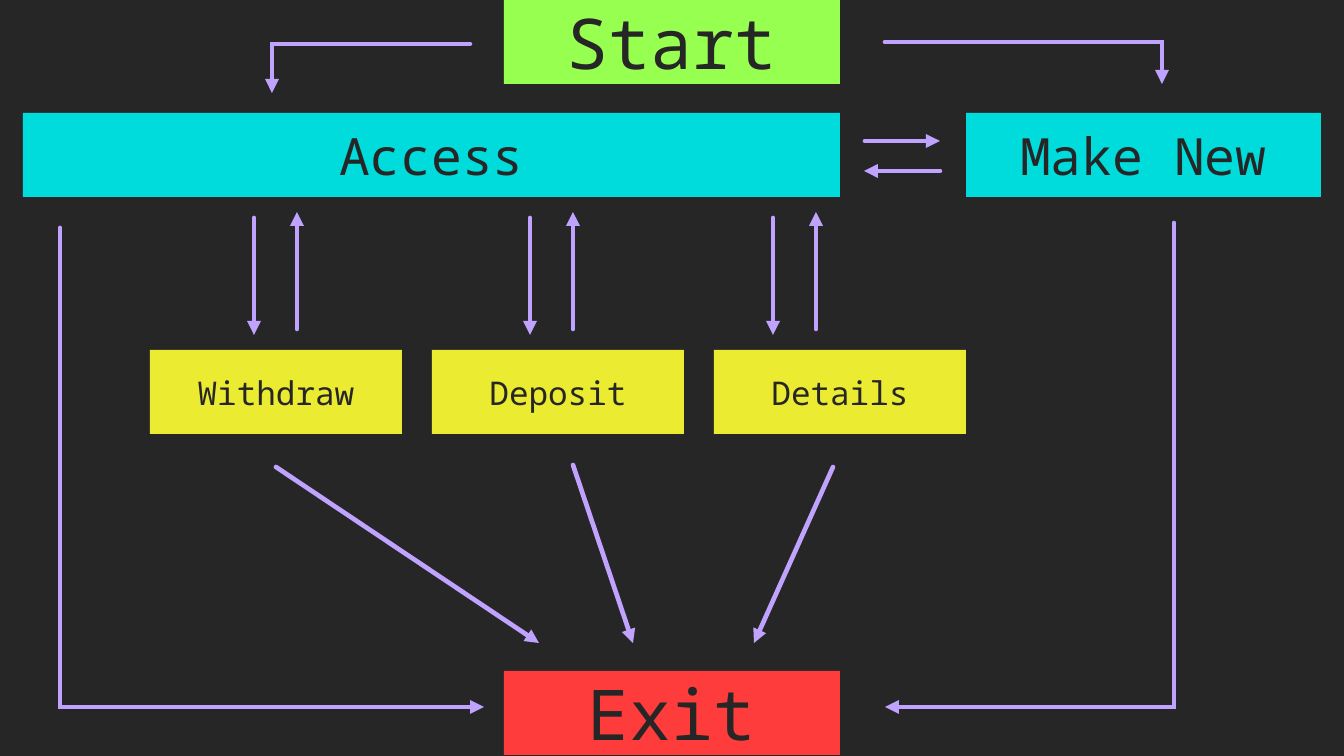
from lxml import etree
from pptx import Presentation
from pptx import util as u
from pptx.dml.color import RGBColor
from pptx.enum import shapes, text
from pptx.oxml import ns

PX = 914400 / 84
FONT = "Noto Sans Mono"
DARK = RGBColor(0x26, 0x26, 0x26)
GREEN = RGBColor(0x96, 0xFF, 0x50)
CYAN = RGBColor(0x00, 0xDC, 0xDC)
YELLOW = RGBColor(0xEB, 0xEB, 0x32)
RED = RGBColor(0xFF, 0x3C, 0x3C)
LILAC = RGBColor(0xC0, 0xA2, 0xFF)


def px(n):
    return u.Emu(round(n * PX))


def box(s, label, x, y, w, color, size):
    sp = s.shapes.add_shape(
        shapes.MSO_SHAPE.RECTANGLE, px(x), px(y), px(w), px(84))
    sp.shadow.inherit = False
    sp.fill.solid()
    sp.fill.fore_color.rgb = color
    sp.line.fill.background()
    tf = sp.text_frame
    tf.vertical_anchor = text.MSO_ANCHOR.MIDDLE
    p = tf.paragraphs[0]
    p.text = label
    p.alignment = text.PP_ALIGN.CENTER
    p.font.name = FONT
    p.font.size = u.Pt(size)
    p.font.color.rgb = DARK


def arrow(s, x1, y1, x2, y2, kind=shapes.MSO_CONNECTOR.STRAIGHT):
    c = s.shapes.add_connector(kind, px(x1), px(y1), px(x2), px(y2))
    c.line.color.rgb = LILAC
    c.line.width = u.Pt(4)
    ln = c.line._get_or_add_ln()
    ln.set("cap", "rnd")
    etree.SubElement(ln, ns.qn("a:miter"), lim="800000")
    etree.SubElement(ln, ns.qn("a:tailEnd"), type="triangle")
    etree.SubElement(c._element.spPr, ns.qn("a:effectLst"))
    return c


def elbow(s, x1, y1, x2, y2, down_first=False):
    if down_first:
        cx, cy = (x1 + x2) / 2, (y1 + y2) / 2
        dx, dy = (x2 - x1) / 2, (y2 - y1) / 2
        x1, y1, x2, y2 = cx - dy, cy + dx, cx + dy, cy - dx
    c = arrow(s, x1, y1, x2, y2, shapes.MSO_CONNECTOR.ELBOW)
    spPr = c._element.spPr
    if down_first:
        spPr.find(ns.qn("a:xfrm")).set("rot", str(90 * 60000))
    geom = spPr.find(ns.qn("a:prstGeom"))
    guides = geom.find(ns.qn("a:avLst"))
    etree.SubElement(guides, ns.qn("a:gd"), name="adj1", fmla="val 100000")


def main():
    prs = Presentation()
    prs.slide_width, prs.slide_height = px(1344), px(756)
    s = prs.slides.add_slide(prs.slide_layouts[6])
    s.background.fill.solid()
    s.background.fill.fore_color.rgb = DARK

    box(s, "Start", 504, 0, 336, GREEN, 60)
    box(s, "Access", 23, 113, 817, CYAN, 44)
    box(s, "Make New", 966, 113, 355, CYAN, 44)
    for i, label in enumerate(("Withdraw", "Deposit", "Details")):
        box(s, label, 150 + 282 * i, 350, 252, YELLOW, 28)
    box(s, "Exit", 504, 671, 336, RED, 60)

    arrow(s, 865, 141, 940, 141)
    arrow(s, 940, 171, 864, 171)
    elbow(s, 1174, 223, 885, 707, down_first=True)
    elbow(s, 60, 228, 484, 707, down_first=True)
    for x1, y1, x2 in ((276, 467, 539), (573, 465, 633), (833, 467, 754)):
        arrow(s, x1, y1, x2, 643)
    for x in (254, 530, 773):
        arrow(s, x, 218, x, 335)
        arrow(s, x + 43, 329, x + 43, 212)
    elbow(s, 885, 42, 1162, 84)
    elbow(s, 470, 44, 272, 93)

    prs.save("out.pptx")


if __name__ == "__main__":
    main()
